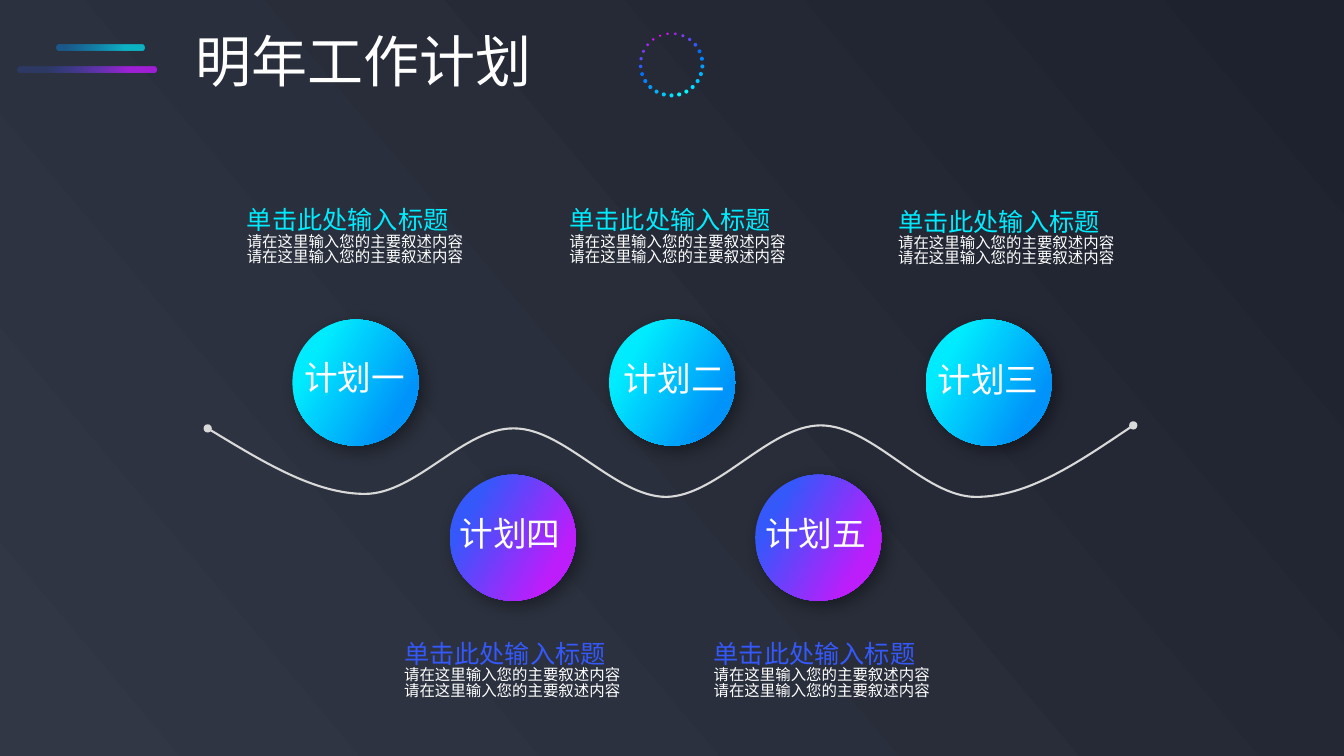
from math import cos, pi, sin

from pptx import Presentation
from pptx.dml.color import RGBColor
from pptx.enum.shapes import MSO_SHAPE
from pptx.enum.text import MSO_ANCHOR, PP_ALIGN
from pptx.oxml.ns import qn
from pptx.oxml.xmlchemy import OxmlElement
from pptx.util import Inches, Pt

FONT = "Noto Sans CJK SC"
COLORS = {
    "white": "FFFFFF", "wave": "D9D9D9", "black": "000000",
    "slate": "313745", "night": "1E222E",
    "cyan": "00ECFE", "blue": "0094FA",
    "indigo": "3558FB", "purple": "BE1DFB",
}
# Ring colours, anticlockwise from the bottom
RING = """01DEFF 00F7FF 00F7FF 00DFFE 01C9FD 02B2FD 029CFD 0285FB 036EFA
2D5CFA 5748FD 7D3EFC 9F26E7 D813FB FC02F9 D912FC AA27FB 7F39F6 564EFC
2E5CFB 026FF9 0384FB 029CFB 02B2FD 01C9FD""".split()

HEAD = "单击此处输入标题"
BODY = "请在这里输入您的主要叙述内容"
COOL, WARM = ("cyan", "blue"), ("indigo", "purple")

# Plans: label, column and row of circle, label shift, column and row of note
PLANS = [
    ("计划一", 29, 31.7, 0.2, 3.6, 23.5, 20.1, COOL),
    ("计划二", 60.4, 31.7, 0.5, 3.7, 55.5, 20.1, COOL),
    ("计划三", 91.8, 31.7, 0.2, 3.8, 88.1, 20.2, COOL),
    ("计划四", 44.6, 47.1, 0, 3.7, 39.1, 63.1, WARM),
    ("计划五", 74.9, 47.1, 0, 3.7, 69.8, 63.1, WARM),
]
DISC = 12.5
# Wave: start, then two control points and an end for each bend
WAVE = [
    (20.6, 42.5), (25.9, 45.7), (31.2, 49), (36.2, 49),
    (41.3, 49), (46, 42.4), (51, 42.5), (56, 42.5), (61, 49.3), (66.1, 49.3),
    (71.2, 49.2), (76.3, 42.2), (81.4, 42.2), (86.6, 42.2), (91.6, 49.3), (96.8, 49.3),
    (102, 49.3), (107.2, 45.7), (112.4, 42.2),
]


def grid(*cells):
    """Turn columns and rows of a tenth of an inch into lengths."""
    return [Inches(c / 10) for c in cells]


def rgb(name):
    return RGBColor.from_string(COLORS.get(name, name))


def node(tag, home, **attrs):
    item = OxmlElement(tag)
    for key, value in attrs.items():
        item.set(key, str(value))
    home.append(item)
    return item


def blend(fill, names, spots, angle, alphas=()):
    """Two-stop gradient; the angle runs clockwise."""
    fill.gradient()
    fill.gradient_angle = -angle % 360
    for stop, name, spot in zip(fill.gradient_stops, names, spots):
        stop.color.rgb = rgb(name)
        stop.position = spot
    for stop, alpha in zip(fill.gradient_stops, alphas):
        node("a:alpha", stop._gs[0], val=alpha * 1000)


def shape(home, kind, *cells):
    item = home.add_shape(kind, *grid(*cells))
    item.shadow.inherit = False
    item.line.fill.background()
    return item


def write(item, lines):
    """Fill a text frame with (text, size, colour) lines."""
    frame = item.text_frame
    frame.word_wrap = False
    frame.vertical_anchor = MSO_ANCHOR.TOP
    frame.margin_left = frame.margin_right = Inches(0.1)
    frame.margin_top = Inches(0.05) + Pt(lines[0][1] * 0.09)
    frame.margin_bottom = 0
    for i, (text, size, color) in enumerate(lines):
        para = frame.add_paragraph() if i else frame.paragraphs[0]
        para.text = text
        para.alignment = PP_ALIGN.LEFT
        para.line_spacing = 0.83
        para.space_before = Pt(0)
        font = para.font
        font.size = Pt(size)
        font.color.rgb = rgb(color)
        font.name = FONT
        node("a:ea", font._element, typeface=FONT)


def label(home, cells, lines):
    write(home.add_textbox(*grid(*cells)), lines)


def ring(home, x, y, radius):
    group = home.add_group_shape().shapes
    for i, color in enumerate(RING):
        turn = 2 * pi * i / len(RING)
        size = min(0.4, 0.2 + 0.03 * abs(i - 14))
        left = x + radius * sin(turn) - size / 2
        top = y + radius * cos(turn) - size / 2
        dot = shape(group, MSO_SHAPE.OVAL, left, top, size, size)
        dot.fill.solid()
        dot.fill.fore_color.rgb = rgb(color)


def bar(home, cells, names, spots, alphas):
    item = shape(home, MSO_SHAPE.ROUNDED_RECTANGLE, *cells)
    item.adjustments[0] = 0.42
    blend(item.fill, names, spots, 0, alphas)


def wave(home):
    points = [grid(*p) for p in WAVE]
    maker = home.build_freeform(*points[0])
    maker.add_line_segments(points[1:], close=False)
    item = maker.convert_to_shape()
    item.shadow.inherit = False
    item.fill.background()
    item.line.color.rgb = rgb("wave")
    item.line.width = Pt(1.5)
    # Join each three points into one curve
    steps = item._element.findall(".//" + qn("a:lnTo"))
    track = steps[0].getparent()
    for i in range(0, len(steps), 3):
        curve = node("a:cubicBezTo", track)
        for step in steps[i:i + 3]:
            curve.append(step[0])
            track.remove(step)
    edge = item.line._get_or_add_ln()
    for end in ("a:headEnd", "a:tailEnd"):
        node(end, edge, type="oval")


def disc(home, text, x, y, dx, dy, names):
    group = home.add_group_shape().shapes
    item = shape(group, MSO_SHAPE.OVAL, x, y, DISC, DISC)
    blend(item.fill, names, (0.21, 0.8), 30)
    effects = item._element.spPr.find(qn("a:effectLst"))
    cast = node("a:outerShdw", effects, blurRad=Pt(12), dist=Pt(5),
                dir=45 * 60000, algn="tl", rotWithShape=0)
    tint = node("a:srgbClr", cast, val=COLORS["black"])
    node("a:alpha", tint, val=40000)
    label(group, (x + dx, y + dy, 12.1, 5), [(text, 24, "white")])


def main():
    deck = Presentation()
    deck.slide_width, deck.slide_height = grid(133.3, 75)
    slide = deck.slides.add_slide(deck.slide_layouts[5])
    home = slide.shapes
    blend(slide.background.fill, ("slate", "night"), (0, 1), 320)

    # Header
    title = home.title
    title.left, title.top, title.width, title.height = grid(18.4, 2.8, 35.7, 7.7)
    write(title, [("明年工作计划", 40, "white")])
    ring(home, 66.6, 6.4, 3.07)
    bar(home, (1.7, 6.6, 13.8, 0.6), WARM, (0.21, 0.8), (20, 80))
    bar(home, (5.6, 4.4, 8.7, 0.6), ("blue", "cyan"), (0.1, 0.79), (40, 70))

    # Plans along the wave
    wave(home)
    for text, x, y, dx, dy, left, top, names in PLANS:
        disc(home, text, x, y, dx, dy, names)
        label(home, (left, top, 23.6, 12.5),
              [(HEAD, 18, names[0])] + [(BODY, 11, "white")] * 2)

    deck.save("out.pptx")


if __name__ == "__main__":
    main()
